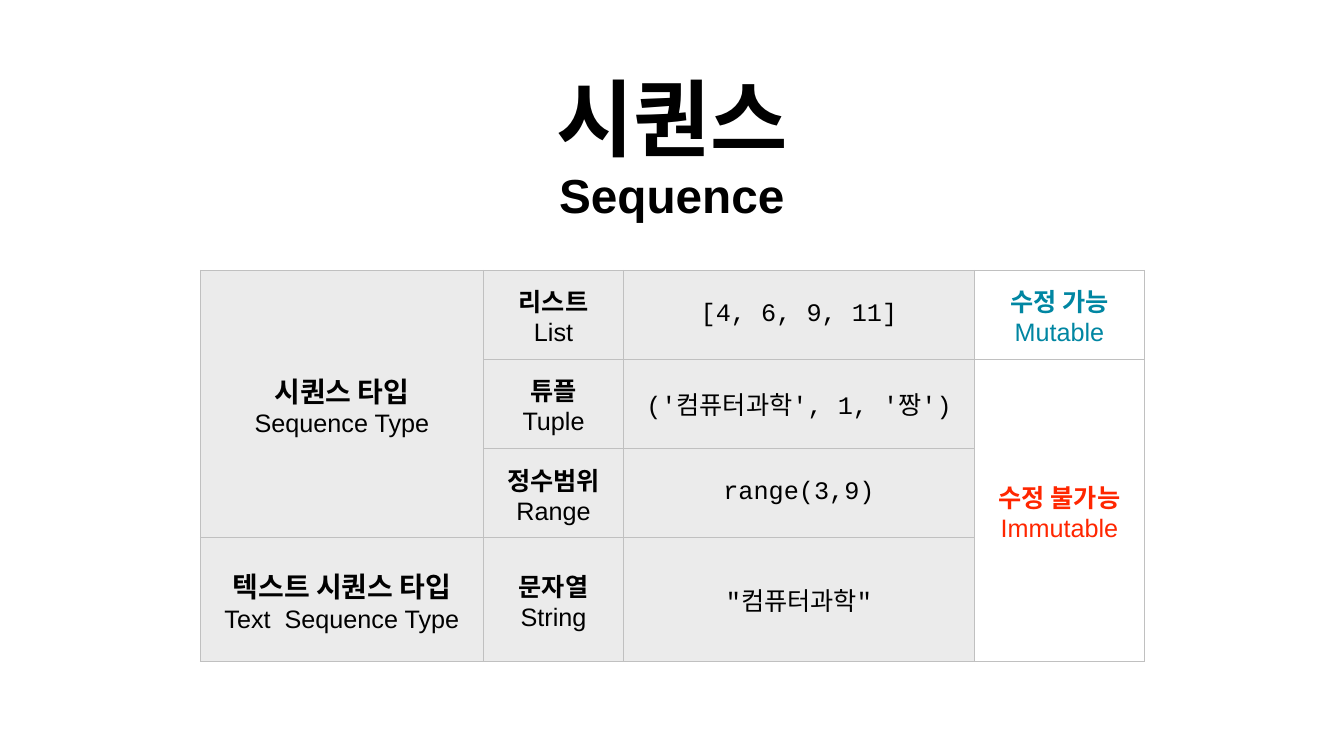
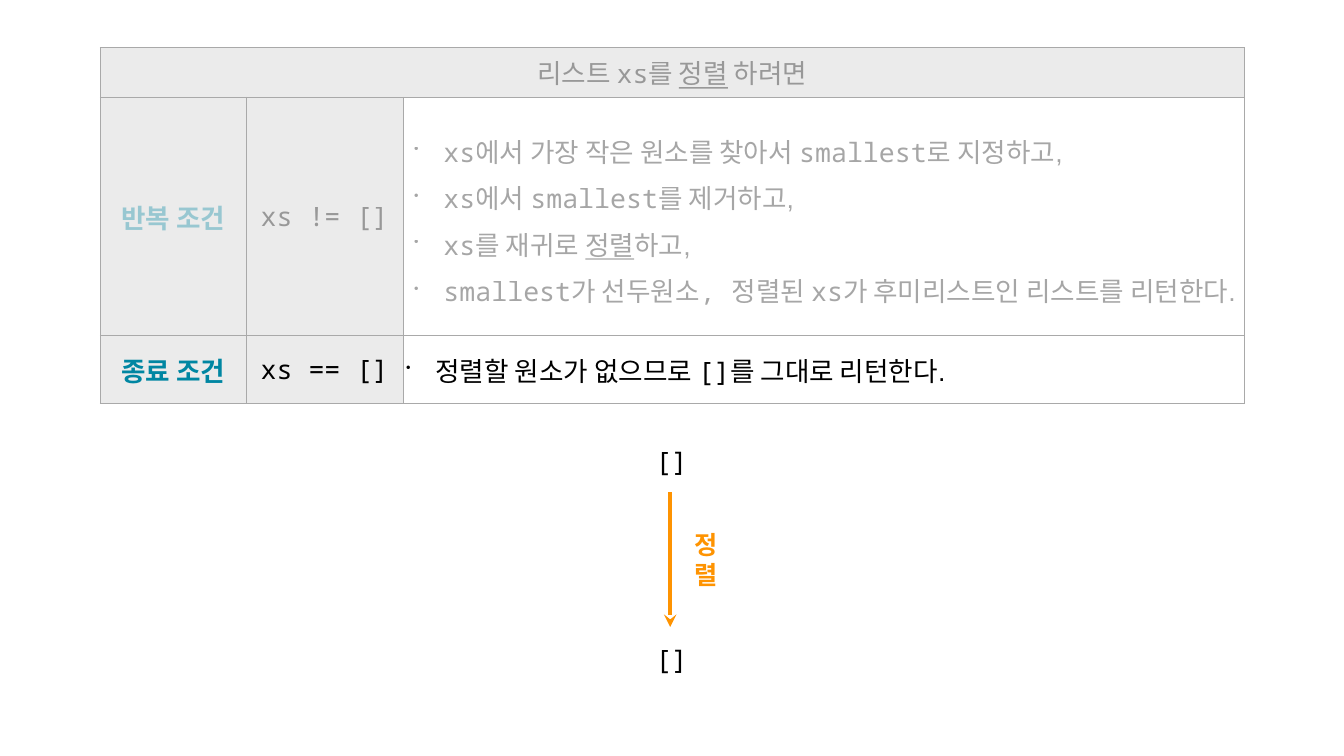
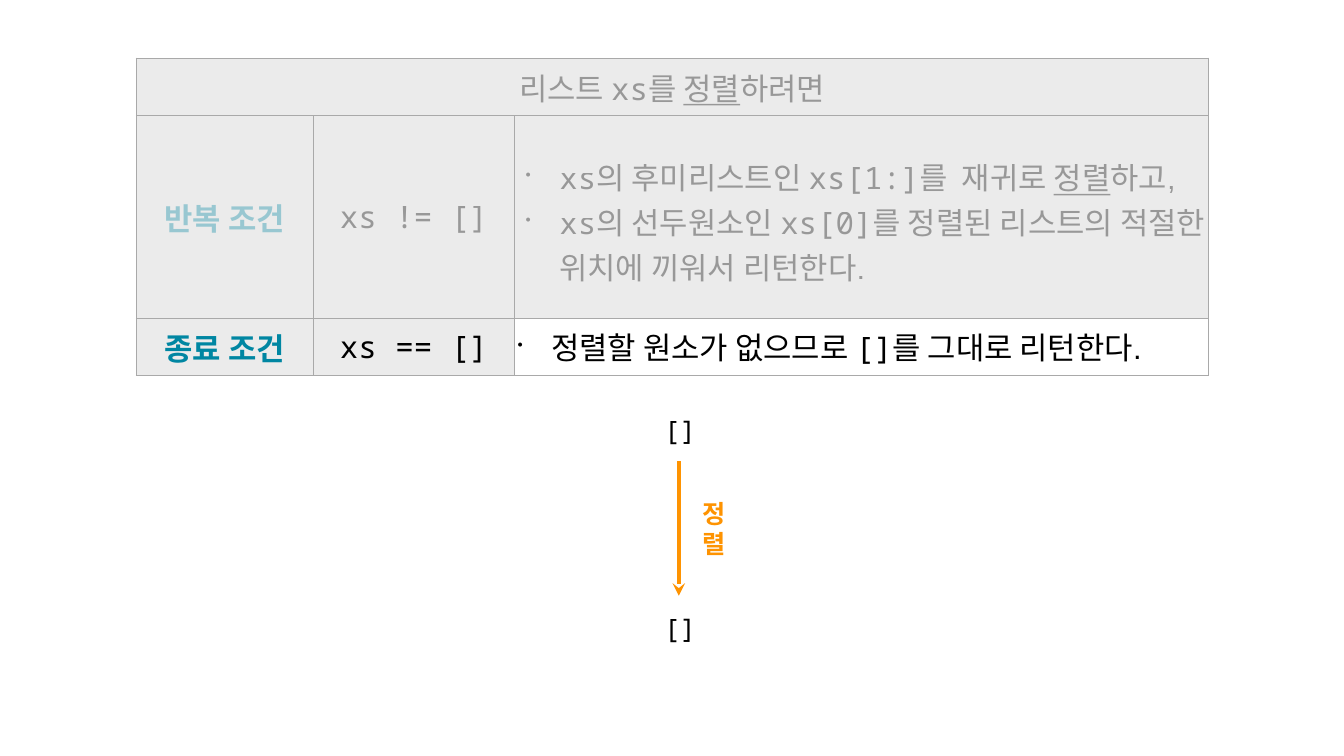
import dataclasses

import lxml.etree
import pptx
import pptx.dml.color
import pptx.enum.shapes
import pptx.enum.text
import pptx.oxml.ns
import pptx.util

Inches, Pt = pptx.util.Inches, pptx.util.Pt
RGBColor = pptx.dml.color.RGBColor
ALIGN, ANCHOR = pptx.enum.text.PP_ALIGN, pptx.enum.text.MSO_ANCHOR
AUTO = pptx.enum.text.MSO_AUTO_SIZE
qn = pptx.oxml.ns.qn

# Shared look
WIDTH, HEIGHT = 26.67, 15
WHITE, BLACK = RGBColor(0xFF, 0xFF, 0xFF), RGBColor(0, 0, 0)
TEAL, RED = RGBColor(0x00, 0x86, 0xA2), RGBColor(0xFF, 0x26, 0x00)
ORANGE, SHADE = RGBColor(0xFE, 0x93, 0x01), RGBColor(0xEB, 0xEB, 0xEB)
SILVER, GRAY = RGBColor(0xC0, 0xC0, 0xC0), RGBColor(0xA9, 0xA9, 0xA9)
SANS, COURIER, MONO = "Arial", "Courier New", "Noto Sans Mono"
FADED_ALPHA = 34000
CELL_INSET, BOX_INSET = 0.06, 0.08


@dataclasses.dataclass
class Line:
    """One paragraph; runs are (text, font) or (text, font, underlined)."""
    runs: list
    size: float
    color: RGBColor = BLACK
    bold: bool = False
    faded: bool = False
    align: object = ALIGN.CENTER
    indent: float = 0
    hanging: float = 0
    spacing: float = None


# Slide 1 content: (korean, english) pairs and sample code
TYPES = [("시퀀스 타입", "Sequence Type", 0), ("텍스트 시퀀스 타입", "Text  Sequence Type", 3)]
KINDS = [
    ("리스트", "List", "[4, 6, 9, 11]"),
    ("튜플", "Tuple", "('컴퓨터과학', 1, '짱')"),
    ("정수범위", "Range", "range(3,9)"),
    ("문자열", "String", "\"컴퓨터과학\""),
]
MUTABILITY = [("수정 가능", "Mutable", TEAL, 0), ("수정 불가능", "Immutable", RED, 1)]

# Slides 2 and 3 content: each step is (line spacing, runs)
BASE_CASE = [("정렬할 원소가 없으므로 ", SANS), ("[]", MONO), ("를 그대로 리턴한다.", SANS)]
SORTS = [
    dict(
        size=38, at=(1.99, 0.94), cols=(2.89, 3.12, 16.69), rows=(0.99, 3.67, 1.35),
        ending=" 하려면", steps_fill=None, diagram=(12.93, 8.76),
        steps=[
            (1.2, [("xs", MONO), ("에서 가장 작은 원소를 찾아서 ", SANS),
                   ("smallest", MONO), ("로 지정하고,", SANS)]),
            (1.2, [("xs", MONO), ("에서 ", SANS), ("smallest", MONO),
                   ("를 ", COURIER), ("제거하고,", SANS)]),
            (1.2, [("xs", MONO), ("를 재귀로 ", SANS), ("정렬", SANS, True), ("하고,", SANS)]),
            (1.2, [("smallest가 선두원소, 정렬된 xs가 후미리스트인 리스트를", MONO),
                   (" 리턴한다.", SANS)]),
        ],
    ),
    dict(
        size=44, at=(2.7, 1.15), cols=(3.52, 3.99, 13.77), rows=(1.14, 3.01, 1.12),
        ending="하려면", steps_fill=SHADE, diagram=(13.1, 8.14),
        steps=[
            (1.2, [("xs", MONO), ("의 후미리스트인 ", SANS), ("xs[1:]", MONO),
                   ("를  재귀로 ", SANS), ("정렬", SANS, True), ("하고,", SANS)]),
            (None, [("xs", MONO), ("의 선두원소인 ", SANS), ("xs[0]", MONO),
                    ("를 정렬된 리스트의 적절한 위치에 끼워서 리턴한다.", SANS)]),
        ],
    ),
]


# Text
def add_bullet(paragraph, line):
    props = paragraph._p.get_or_add_pPr()
    props.set("marL", str(Inches(line.indent)))
    props.set("indent", str(-Inches(line.hanging)))
    # Punctuation wraps with its word instead of hanging past the edge
    props.set("hangingPunct", "0")
    lxml.etree.SubElement(props, qn("a:buSzPct"), val="50000")
    lxml.etree.SubElement(props, qn("a:buChar"), char="•")


def write(frame, lines, inset, anchor=ANCHOR.MIDDLE):
    frame.margin_left = frame.margin_right = Inches(inset)
    frame.margin_top = frame.margin_bottom = Inches(inset)
    frame.vertical_anchor = anchor
    for i, line in enumerate(lines):
        paragraph = frame.add_paragraph() if i else frame.paragraphs[0]
        paragraph.alignment = line.align
        if line.spacing:
            paragraph.line_spacing = line.spacing
        if line.hanging:
            add_bullet(paragraph, line)
        font = paragraph.font
        font.size, font.bold = Pt(line.size), line.bold
        font.color.rgb = line.color
        if line.faded:
            for color in paragraph._p.iter(qn("a:srgbClr")):
                lxml.etree.SubElement(color, qn("a:alpha"), val=str(FADED_ALPHA))
        same_font = len({part[1] for part in line.runs}) == 1
        if same_font:
            font.name = line.runs[0][1]
        for text, name, *underlined in line.runs:
            run = paragraph.add_run()
            run.text = text
            if not same_font:
                run.font.name = name
            if underlined:
                run.font.underline = True


def add_text(slide, at, line):
    box = slide.shapes.add_textbox(*map(Inches, at))
    write(box.text_frame, [line], BOX_INSET)
    box.text_frame.word_wrap = False
    return box


# Tables
def add_grid(slide, at, cols, rows, border):
    table = slide.shapes.add_table(len(rows), len(cols), *map(Inches, at),
                                   Inches(sum(cols)), Inches(sum(rows))).table
    table.first_row = table.horz_banding = False
    for column, width in zip(table.columns, cols):
        column.width = Inches(width)
    for row, height in zip(table.rows, rows):
        row.height = Inches(height)
    for cell in table.iter_cells():
        props = cell._tc.get_or_add_tcPr()
        for side in ("a:lnL", "a:lnR", "a:lnT", "a:lnB"):
            edge = lxml.etree.SubElement(props, qn(side), w=str(Pt(1)))
            fill = lxml.etree.SubElement(edge, qn("a:solidFill"))
            lxml.etree.SubElement(fill, qn("a:srgbClr"), val=str(border))
        cell.fill.background()
    return table


def fill_cell(cell, lines, fill=SHADE):
    write(cell.text_frame, lines, CELL_INSET)
    cell.margin_left = cell.margin_right = Inches(CELL_INSET)
    cell.margin_top = cell.margin_bottom = Inches(CELL_INSET)
    cell.vertical_anchor = ANCHOR.MIDDLE
    if fill is not None:
        cell.fill.solid()
        cell.fill.fore_color.rgb = fill


def bilingual(korean, english, size=36, color=BLACK):
    return [Line([(korean, SANS)], size, color, bold=True), Line([(english, SANS)], 36, color)]


# Slide 1
def build_sequence(deck):
    slide = deck.slides.add_slide(deck.slide_layouts[5])
    title = slide.shapes.title
    subtitle = slide.shapes.add_textbox(0, 0, 0, 0)
    headings = [(title, "시퀀스", 120, (10.24, 1.22, 6.2, 2.16)),
                (subtitle, "Sequence", 68.2, (11, 3.13, 4.66, 1.36))]
    for shape, text, size, at in headings:
        shape.left, shape.top, shape.width, shape.height = map(Inches, at)
        shape.fill.solid()
        shape.fill.fore_color.rgb = WHITE
        shape.text_frame.word_wrap = True
        shape.text_frame.auto_size = AUTO.NONE
        write(shape.text_frame, [Line([(text, SANS)], size, bold=True)],
              CELL_INSET, ANCHOR.BOTTOM)

    table = add_grid(slide, (3.97, 5.36), (5.63, 2.77, 6.97, 3.37),
                     (1.77, 1.77, 1.77, 2.46), SILVER)
    table.cell(0, 0).merge(table.cell(2, 0))
    table.cell(1, 3).merge(table.cell(3, 3))
    for korean, english, row in TYPES:
        fill_cell(table.cell(row, 0), bilingual(korean, english, 40))
    for row, (korean, english, sample) in enumerate(KINDS):
        fill_cell(table.cell(row, 1), bilingual(korean, english))
        fill_cell(table.cell(row, 2), [Line([(sample, COURIER)], 36)])
    for korean, english, color, row in MUTABILITY:
        fill_cell(table.cell(row, 3), bilingual(korean, english, color=color), None)


# Slides 2 and 3
def add_diagram(slide, x, y):
    for top in (y, y + 3.92):
        add_text(slide, (x, top, 0.81, 0.78),
                 Line([("[]", MONO)], 38, align=ALIGN.LEFT))
    arrow_x = Inches(x + 0.37)
    arrow = slide.shapes.add_connector(pptx.enum.shapes.MSO_CONNECTOR.STRAIGHT,
                                       arrow_x, Inches(y + 1.01), arrow_x, Inches(y + 3.68))
    arrow.line.color.rgb = ORANGE
    arrow.line.width = Pt(6)
    lxml.etree.SubElement(arrow.line._get_or_add_ln(), qn("a:tailEnd"), type="stealth")
    lxml.etree.SubElement(arrow._element.spPr, qn("a:effectLst"))
    # The label stacks its two syllables beside the arrow
    label = add_text(slide, (x + 0.77, y + 1.97, 1.04, 0.75),
                     Line([("정렬", SANS)], 36, ORANGE, bold=True))
    label.text_frame.word_wrap = True
    label.text_frame.margin_right = Inches(0.5)


def build_sort(deck, sort):
    slide = deck.slides.add_slide(deck.slide_layouts[6])
    size = sort["size"]
    hanging = round(size * 0.0153, 2)
    table = add_grid(slide, sort["at"], sort["cols"], sort["rows"], GRAY)
    table.cell(0, 0).merge(table.cell(0, 2))
    heading = [("리스트 ", COURIER), ("xs", MONO), ("를 ", COURIER),
               ("정렬", COURIER, True), (sort["ending"], COURIER)]
    fill_cell(table.cell(0, 0), [Line(heading, size, faded=True)])

    cases = [("반복 조건", "xs != []", True), ("종료 조건", "xs == []", False)]
    for row, (name, condition, faded) in enumerate(cases, 1):
        fill_cell(table.cell(row, 0), [Line([(name, SANS)], size, TEAL, True, faded)])
        fill_cell(table.cell(row, 1), [Line([(condition, MONO)], size, faded=faded)])

    steps = [Line(runs, size, faded=True, align=ALIGN.LEFT, indent=hanging + 0.16,
                  hanging=hanging, spacing=spacing) for spacing, runs in sort["steps"]]
    fill_cell(table.cell(1, 2), steps, sort["steps_fill"])
    fill_cell(table.cell(2, 2), [Line(BASE_CASE, size, align=ALIGN.LEFT,
                                      indent=hanging, hanging=hanging)], None)
    add_diagram(slide, *sort["diagram"])


def main():
    deck = pptx.Presentation()
    deck.slide_width, deck.slide_height = Inches(WIDTH), Inches(HEIGHT)
    build_sequence(deck)
    for sort in SORTS:
        build_sort(deck, sort)
    deck.save("out.pptx")


if __name__ == "__main__":
    main()
